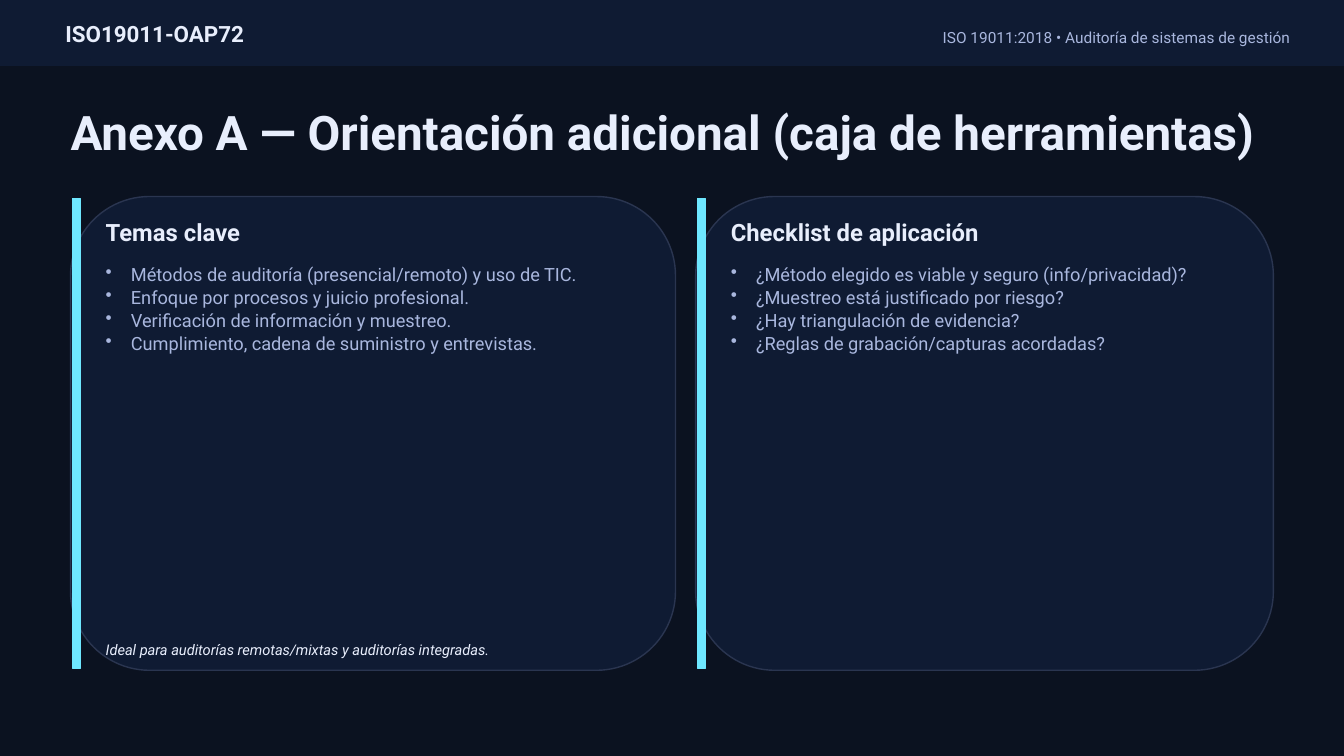
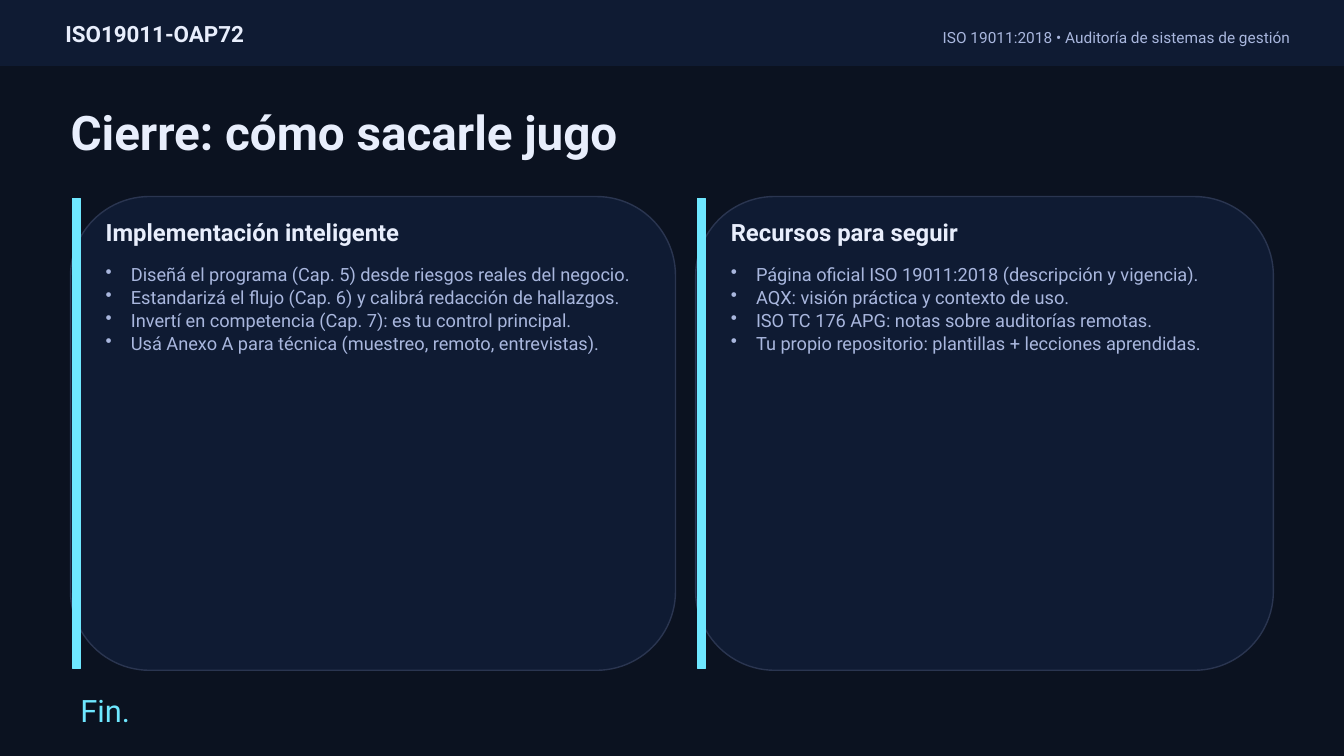
from dataclasses import dataclass

from lxml import etree
from pptx import Presentation
from pptx import util as u
from pptx.dml.color import RGBColor
from pptx.enum import shapes, text
from pptx.oxml import ns


@dataclass(frozen=True)
class Theme:
    font: str = "Roboto"
    background: str = "0B1220"
    panel: str = "0F1B33"
    border: str = "2A3550"
    accent: str = "6EE7FF"
    bright: str = "E8EEFC"
    muted: str = "A9B7DE"
    title_size: float = 34
    closing_size: float = 22
    heading_size: float = 17
    brand_size: float = 16
    body_size: float = 13
    subject_size: float = 11
    note_size: float = 10.5


THEME = Theme()

BRAND = "ISO19011-OAP72"
SUBJECT = "ISO 19011:2018 • Auditoría de sistemas de gestión"
SLIDES = [
    {
        "title": "Anexo A — Orientación adicional (caja de herramientas)",
        "cards": [
            ("Temas clave", [
                "Métodos de auditoría (presencial/remoto) y uso de TIC.",
                "Enfoque por procesos y juicio profesional.",
                "Verificación de información y muestreo.",
                "Cumplimiento, cadena de suministro y entrevistas.",
            ]),
            ("Checklist de aplicación", [
                "¿Método elegido es viable y seguro (info/privacidad)?",
                "¿Muestreo está justificado por riesgo?",
                "¿Hay triangulación de evidencia?",
                "¿Reglas de grabación/capturas acordadas?",
            ]),
        ],
        "note": "Ideal para auditorías remotas/mixtas y auditorías integradas.",
    },
    {
        "title": "Cierre: cómo sacarle jugo",
        "cards": [
            ("Implementación inteligente", [
                "Diseñá el programa (Cap. 5) desde riesgos reales del negocio.",
                "Estandarizá el flujo (Cap. 6) y calibrá redacción de hallazgos.",
                "Invertí en competencia (Cap. 7): es tu control principal.",
                "Usá Anexo A para técnica (muestreo, remoto, entrevistas).",
            ]),
            ("Recursos para seguir", [
                "Página oficial ISO 19011:2018 (descripción y vigencia).",
                "AQX: visión práctica y contexto de uso.",
                "ISO TC 176 APG: notas sobre auditorías remotas.",
                "Tu propio repositorio: plantillas + lecciones aprendidas.",
            ]),
        ],
        "closing": "Fin.",
    },
]

SLIDE_WIDTH, SLIDE_HEIGHT = 13.33, 7.5
CARD_LEFT, CARD_TOP, CARD_HEIGHT, CARD_GAP = 0.7, 1.95, 4.7, 0.2
CARD_WIDTHS = (6, 5.73)
BAR_INSET, BAR_WIDTH = 0.02, 0.08
TEXT_INSET = 0.25
BULLET_INDENT = 0.25


def add_box(slide, kind, box, fill, line):
    shape = slide.shapes.add_shape(kind, *map(u.Inches, box))
    shape.shadow.inherit = False
    shape.fill.solid()
    shape.fill.fore_color.rgb = RGBColor.from_string(fill)
    shape.line.color.rgb = RGBColor.from_string(line)
    shape.line.width = u.Pt(1)


def write(frame, lines, size, color, bold=False, italic=False,
          align=text.PP_ALIGN.LEFT, anchor=text.MSO_ANCHOR.MIDDLE):
    """Fill a text frame with one styled paragraph per line."""
    frame.word_wrap = True
    frame.auto_size = text.MSO_AUTO_SIZE.NONE
    frame.vertical_anchor = anchor
    for index, line in enumerate(lines):
        paragraph = frame.add_paragraph() if index else frame.paragraphs[0]
        paragraph.alignment = align
        run = paragraph.add_run()
        run.text = line
        font = run.font
        font.name, font.size = THEME.font, u.Pt(size)
        font.bold, font.italic = bold, italic
        font.color.rgb = RGBColor.from_string(color)


def add_text(slide, box, lines, size, color, **style):
    frame = slide.shapes.add_textbox(*map(u.Inches, box)).text_frame
    write(frame, lines, size, color, **style)
    return frame


def add_bullets(slide, box, items):
    frame = add_text(slide, box, items, THEME.body_size, THEME.muted,
                     anchor=text.MSO_ANCHOR.TOP)
    for paragraph in frame.paragraphs:
        paragraph.line_spacing = 1.05
        properties = paragraph._p.get_or_add_pPr()
        properties.set("marL", str(u.Inches(BULLET_INDENT)))
        properties.set("indent", str(-u.Inches(BULLET_INDENT)))
        etree.SubElement(properties, ns.qn("a:buChar")).set("char", "•")


def add_header(slide):
    add_box(slide, shapes.MSO_SHAPE.RECTANGLE, (0, 0, SLIDE_WIDTH, 0.65),
            THEME.panel, THEME.panel)
    add_text(slide, (0.55, 0.16, 5.5, 0.35), [BRAND],
             THEME.brand_size, THEME.bright, bold=True)
    add_text(slide, (6.1, 0.2, 6.8, 0.35), [SUBJECT],
             THEME.subject_size, THEME.muted, align=text.PP_ALIGN.RIGHT)


def set_title(slide, words):
    title = slide.shapes.title
    title.left, title.top, title.width, title.height = map(
        u.Inches, (0.6, 0.95, 12.2, 0.7))
    write(title.text_frame, [words], THEME.title_size, THEME.bright, bold=True)


def add_card(slide, left, width, heading, items):
    add_box(slide, shapes.MSO_SHAPE.ROUNDED_RECTANGLE,
            (left, CARD_TOP, width, CARD_HEIGHT), THEME.panel, THEME.border)
    add_box(slide, shapes.MSO_SHAPE.RECTANGLE,
            (left + BAR_INSET, CARD_TOP + BAR_INSET,
             BAR_WIDTH, CARD_HEIGHT - 2 * BAR_INSET),
            THEME.accent, THEME.accent)
    text_left = left + TEXT_INSET
    add_text(slide, (text_left, CARD_TOP + 0.18, width - 0.4, 0.35), [heading],
             THEME.heading_size, THEME.bright, bold=True)
    add_bullets(slide, (text_left, CARD_TOP + 0.6, width - 0.45, 3.85), items)


def build_slide(presentation, content):
    slide = presentation.slides.add_slide(presentation.slide_layouts[5])
    add_header(slide)
    set_title(slide, content["title"])
    left = CARD_LEFT
    for width, (heading, items) in zip(CARD_WIDTHS, content["cards"]):
        add_card(slide, left, width, heading, items)
        left += width + CARD_GAP
    if "note" in content:
        add_text(slide, (CARD_LEFT + TEXT_INSET, 6.3, 5.55, 0.28),
                 [content["note"]], THEME.note_size, THEME.bright, italic=True)
    if "closing" in content:
        add_text(slide, (CARD_LEFT, 6.85, 12, 0.4), [content["closing"]],
                 THEME.closing_size, THEME.accent)


def main():
    presentation = Presentation()
    presentation.slide_width = u.Inches(SLIDE_WIDTH)
    presentation.slide_height = u.Inches(SLIDE_HEIGHT)
    background = presentation.slide_master.background.fill
    background.solid()
    background.fore_color.rgb = RGBColor.from_string(THEME.background)
    for content in SLIDES:
        build_slide(presentation, content)
    presentation.save("out.pptx")


if __name__ == "__main__":
    main()
